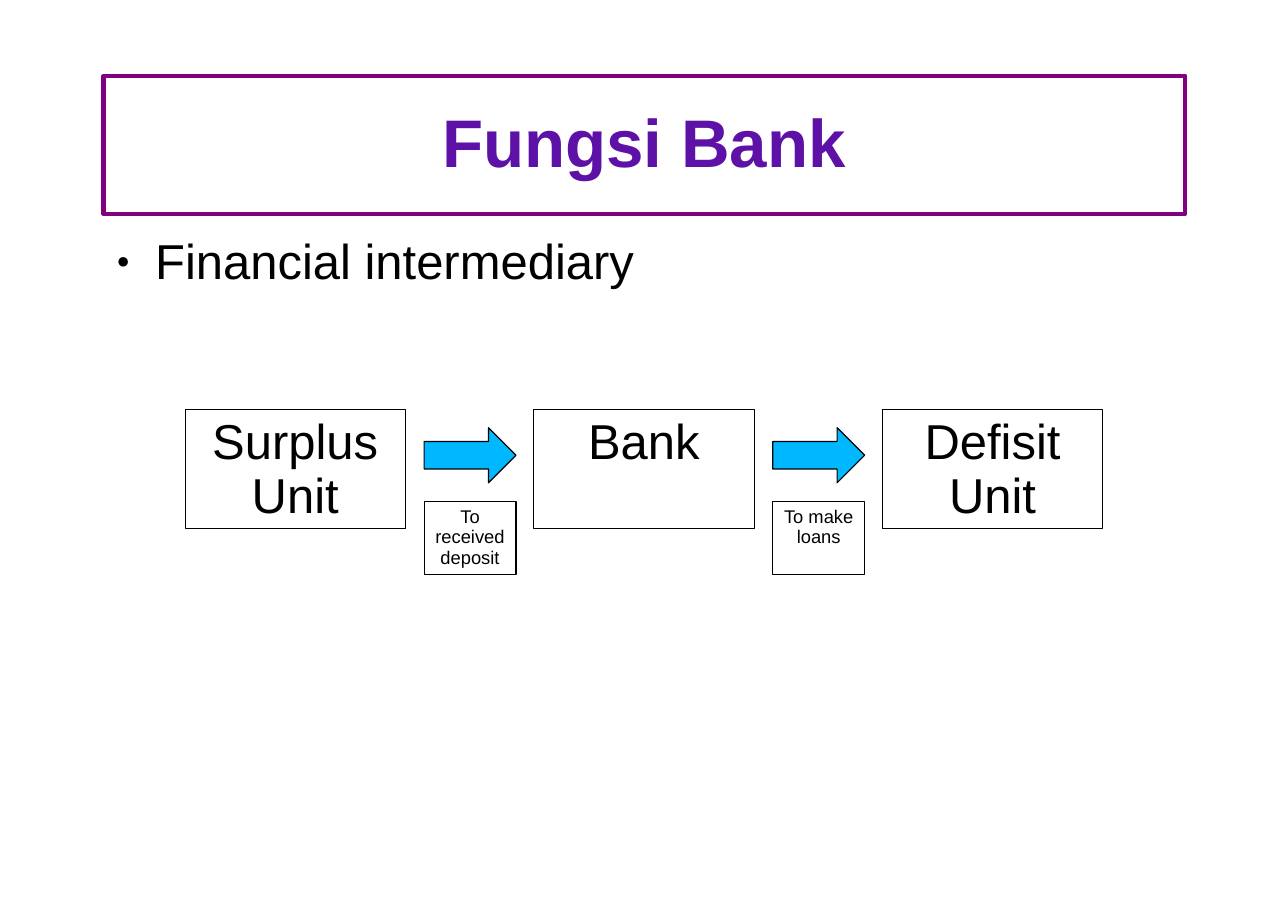
"""Build the slide "Fungsi Bank": a bank as intermediary between two units."""
from lxml import etree
from pptx import Presentation
from pptx.dml.color import RGBColor
from pptx.enum.shapes import MSO_SHAPE
from pptx.enum.text import MSO_ANCHOR, PP_ALIGN
from pptx.oxml.ns import qn
from pptx.util import Cm, Pt

RECT, ARROW = MSO_SHAPE.RECTANGLE, MSO_SHAPE.RIGHT_ARROW
TOP, MIDDLE = MSO_ANCHOR.TOP, MSO_ANCHOR.MIDDLE
LEFT, CENTER = PP_ALIGN.LEFT, PP_ALIGN.CENTER
COLORS = {"text": "000000", "title": "5E11A6", "frame": "800080", "arrow": "00B8FF"}


def add_box(kind, x, y, w, h, line="text", width=0.75, fill=None):
    sp = s.shapes.add_shape(kind, Cm(x), Cm(y), Cm(w), Cm(h))
    sp.shadow.inherit = False
    if fill:
        sp.fill.solid()
        sp.fill.fore_color.rgb = RGBColor.from_string(COLORS[fill])
    else:
        sp.fill.background()
    sp.line.color.rgb = RGBColor.from_string(COLORS[line])
    sp.line.width = Pt(width)
    return sp


def write(sp, text, size, color="text", bold=False, align=CENTER, anchor=TOP):
    tf = sp.text_frame
    tf.word_wrap = True
    tf.vertical_anchor = anchor
    p = tf.paragraphs[0]
    p.alignment = align
    p.line_spacing = 0.93
    r = p.add_run()
    r.text = text
    r.font.name = "Arial"
    r.font.size = Pt(size)
    r.font.bold = bold
    r.font.color.rgb = RGBColor.from_string(COLORS[color])
    return p


prs = Presentation()
prs.slide_width, prs.slide_height = Cm(29.7), Cm(21)
s = prs.slides.add_slide(prs.slide_layouts[6])

title = add_box(RECT, 2.39, 1.75, 24.94, 3.18, "frame", 2.89)
etree.SubElement(title.line._get_or_add_ln(), qn("a:round"))
write(title, "Fungsi Bank", 44, "title", bold=True, anchor=MIDDLE)

body = s.shapes.add_textbox(Cm(2.39), Cm(5.44), Cm(24.94), Cm(12.55))
p = write(body, "Financial intermediary", 32, align=LEFT)
p.space_after = Pt(14.2)
for sp in (title, body):
    tf = sp.text_frame
    tf.margin_left = tf.margin_right = tf.margin_top = tf.margin_bottom = 0

pPr = p._p.get_or_add_pPr()
pPr.set("marL", str(Cm(1.19)))
pPr.set("indent", str(Cm(-0.89)))
bullet_color = etree.SubElement(pPr, qn("a:buClr"))
etree.SubElement(bullet_color, qn("a:srgbClr"), val=COLORS["text"])
etree.SubElement(pPr, qn("a:buSzPct"), val="45000")
etree.SubElement(pPr, qn("a:buFont"), typeface="Arial")
etree.SubElement(pPr, qn("a:buChar"), char="●")

UNIT_X, ARROW_X, PITCH = 4.27, 9.78, 8.04
for i, unit in enumerate(["Surplus Unit", "Bank", "Defisit Unit"]):
    write(add_box(RECT, UNIT_X + i * PITCH, 9.45, 5.08, 2.74), unit, 32)
for i, step in enumerate(["To received deposit", "To make loans"]):
    x = ARROW_X + i * PITCH
    add_box(ARROW, x, 9.86, 2.12, 1.27, fill="arrow")
    write(add_box(RECT, x, 11.56, 2.12, 1.69), step, 12)

prs.save("out.pptx")
